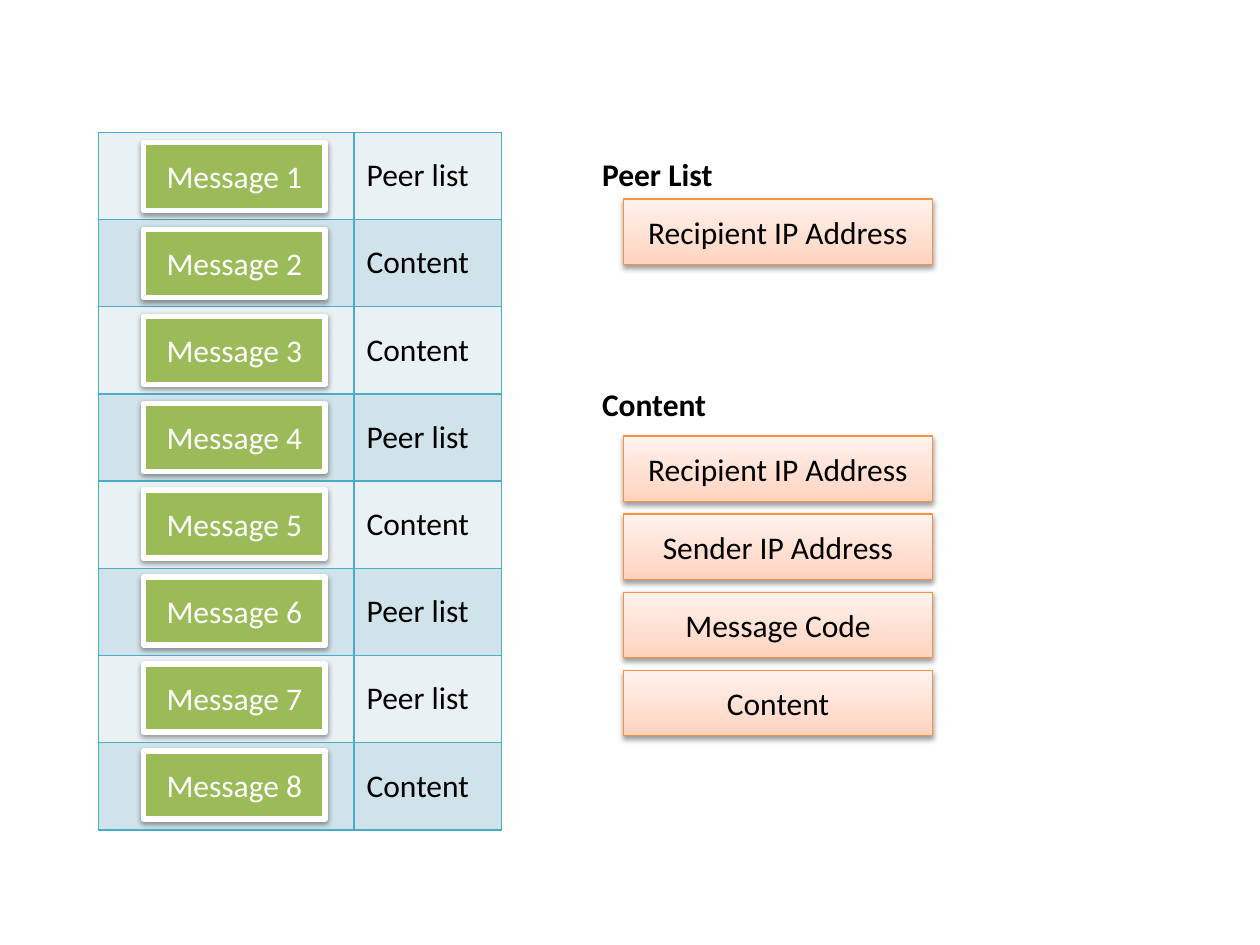
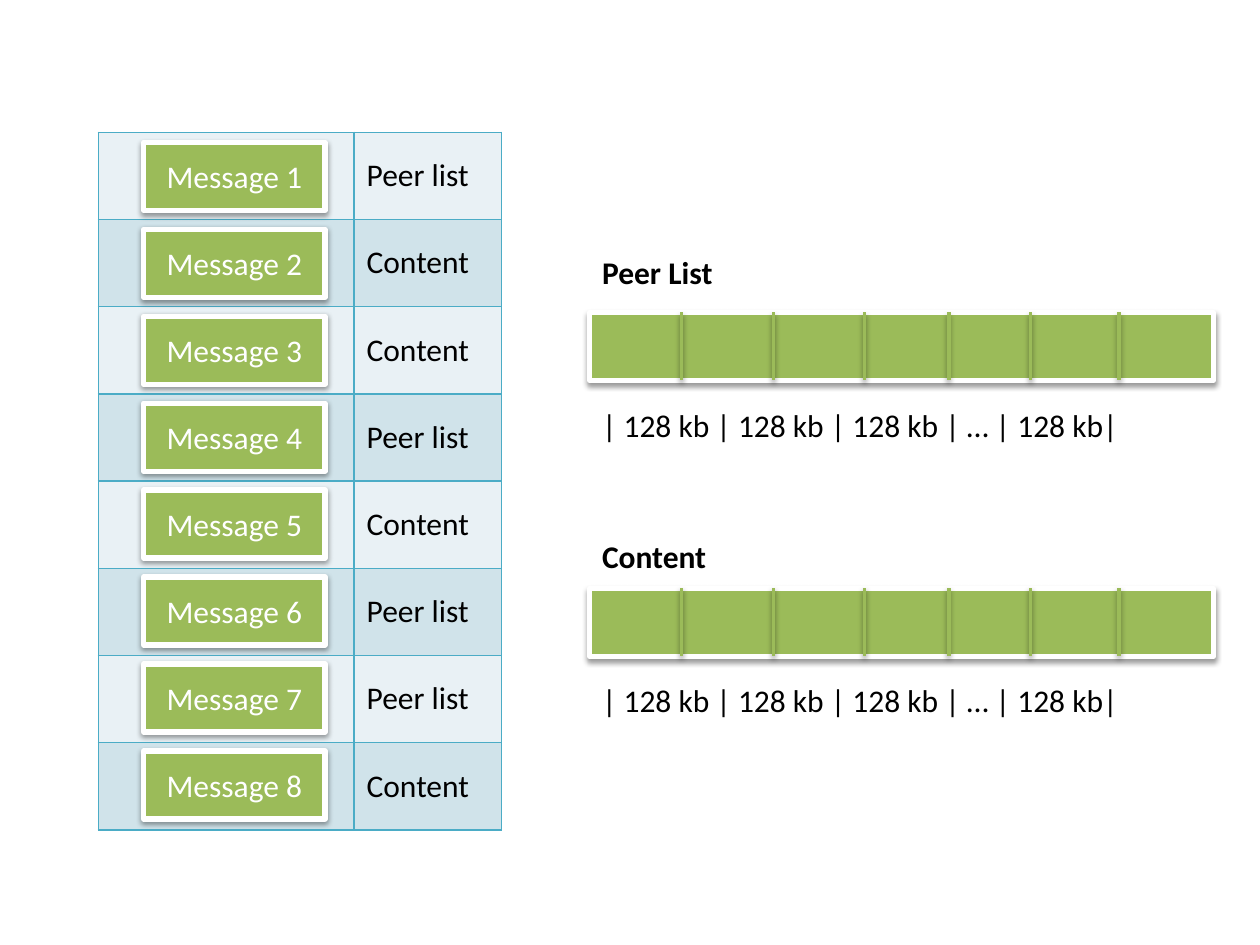
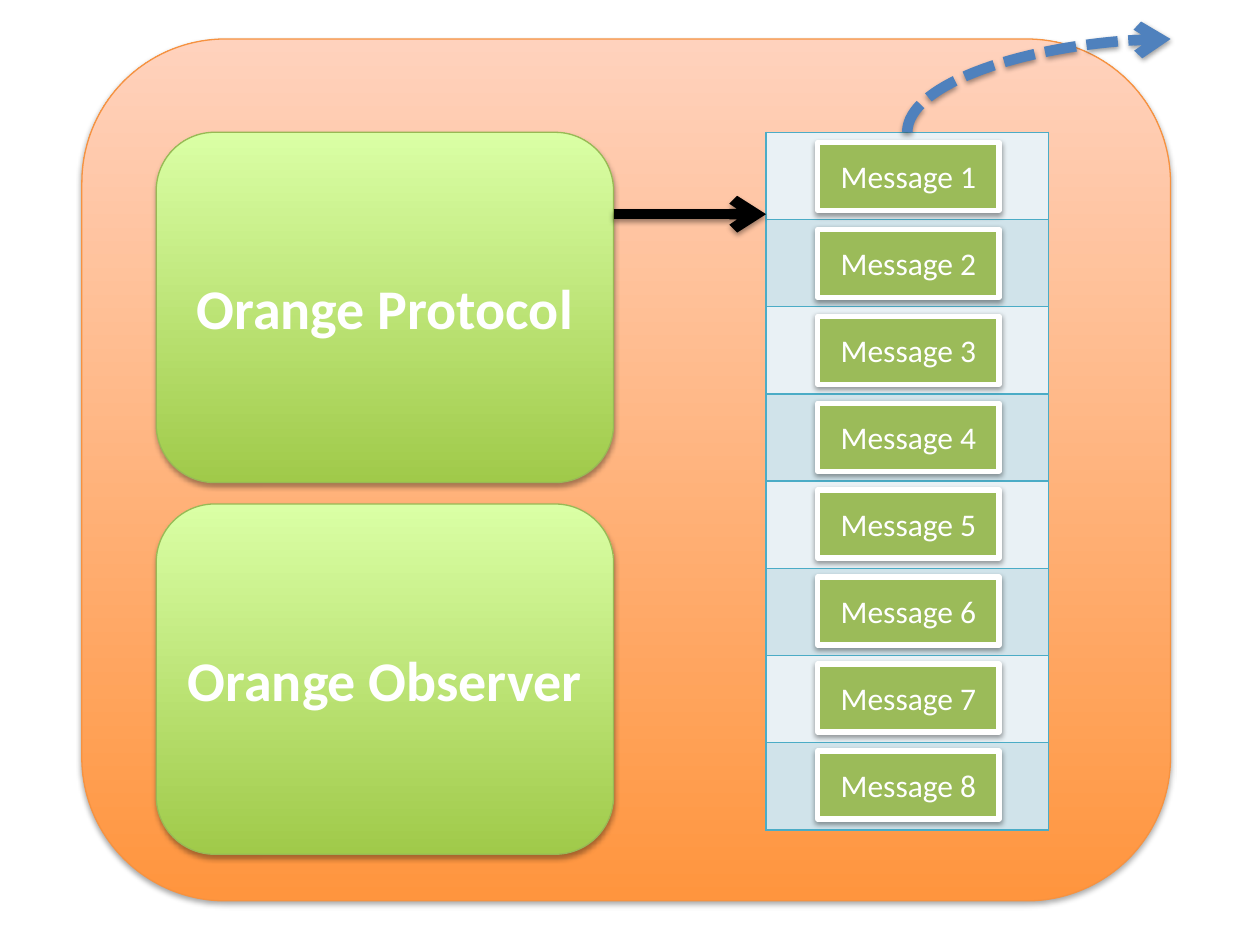
from copy import deepcopy

from lxml.etree import SubElement
from pptx import Presentation
from pptx.dml.color import RGBColor
from pptx.enum.dml import MSO_LINE
from pptx.enum.shapes import MSO_CONNECTOR as LINK, MSO_SHAPE as SHAPE
from pptx.enum.text import MSO_ANCHOR as ANCHOR, MSO_AUTO_SIZE as AUTO, PP_ALIGN as ALIGN
from pptx.oxml.ns import qn
from pptx.util import Inches, Pt

FONT = "Calibri"
BLACK, WHITE = "000000", "FFFFFF"
GREEN, BLUE, TEAL = "9BBB59", "4F81BD", "4BACC6"
ORANGE_EDGE, GREEN_EDGE = "F69240", "98B955"
BANDS = ("E9F1F5", "D0E3EA")
PEACH = ((0, "FFD2BD"), (0.35, "FFDED0"), (1, "FFF2ED"))
ORANGE = ((0, "FF953E"), (1, "FFD2BD"))
LIME = ((0, "A0CA4A"), (1, "DAFFA5"))
CLOSE_SHADOW, DEEP_SHADOW = (38, 1.6), (35, 1.8)

QUEUE_TOP, QUEUE_HEIGHT, ROW_STEP = 1.05, 5.54, 0.69
MESSAGE_KINDS = ["Peer list", "Content", "Content", "Peer list",
                 "Content", "Peer list", "Peer list", "Content"]
CHUNK_EDGES = (5.41, 6.14, 6.86, 7.53, 8.18, 8.88)
CHUNK_SIZES = "| 128 kb | 128 kb | 128 kb | … | 128 kb|"


def rgb(code):
    """Turn a hex string into a colour."""
    return RGBColor.from_string(code)


class Deck:
    """Hold the shared style and the slide being built."""

    def __init__(self):
        """Start an empty 4:3 presentation."""
        self.show = Presentation()
        self.show.slide_width, self.show.slide_height = Inches(10), Inches(7.5)

    def new_slide(self):
        """Begin the next blank slide."""
        self.slide = self.show.slides.add_slide(self.show.slide_layouts[6])

    def set_text(self, frame, text, size=18, color=BLACK, bold=False, align=ALIGN.LEFT):
        """Put one styled paragraph into a text frame."""
        frame.text = text
        paragraph = frame.paragraphs[0]
        paragraph.alignment = align
        for run in paragraph.runs:
            run.font.name, run.font.size, run.font.bold = FONT, Pt(size), bold
            run.font.color.rgb = rgb(color)

    def cast_shadow(self, part, strength, distance):
        """Give a shape or connector a shadow straight below it."""
        effects = SubElement(part.element.spPr, qn("a:effectLst"))
        shadow = SubElement(effects, qn("a:outerShdw"), blurRad=str(Pt(3.1)),
                            dist=str(Pt(distance)), dir="5400000", rotWithShape="0")
        tint = SubElement(shadow, qn("a:srgbClr"), val=BLACK)
        SubElement(tint, qn("a:alpha"), val=str(strength * 1000))

    def shade(self, box, stops):
        """Fill a box with a gradient that runs from bottom to top."""
        box.fill.gradient()
        box.fill.gradient_angle = 90
        stop_list = box.element.spPr.find(qn("a:gradFill")).find(qn("a:gsLst"))
        while len(stop_list) < len(stops):
            stop_list.append(deepcopy(stop_list[-1]))
        for stop, (position, color) in zip(box.fill.gradient_stops, stops):
            stop.position, stop.color.rgb = position, rgb(color)

    def box(self, place, fill, edge, edge_width=0.75, text="", kind=SHAPE.RECTANGLE,
            shadow=CLOSE_SHADOW, **style):
        """Draw a filled shape with centred text."""
        box = self.slide.shapes.add_shape(kind, *map(Inches, place))
        if isinstance(fill, str):
            box.fill.solid()
            box.fill.fore_color.rgb = rgb(fill)
        else:
            self.shade(box, fill)
        box.line.color.rgb, box.line.width = rgb(edge), Pt(edge_width)
        self.cast_shadow(box, *shadow)
        if text:
            box.text_frame.vertical_anchor = ANCHOR.MIDDLE
            self.set_text(box.text_frame, text, align=ALIGN.CENTER, **style)

    def green_box(self, left, top, width=1.44, text=""):
        """Draw a green block with a white frame."""
        self.box((left, top, width, 0.54), GREEN, WHITE, 3, text, color=WHITE)

    def field(self, top, text):
        """Draw one field of a message."""
        self.box((4.95, top, 2.45, 0.52), PEACH, ORANGE_EDGE, text=text)

    def panel(self, place, fill, edge, text=""):
        """Draw a large rounded panel."""
        self.box(place, fill, edge, text=text, kind=SHAPE.ROUNDED_RECTANGLE,
                 shadow=DEEP_SHADOW, size=32, color=WHITE, bold=True)

    def label(self, top, text, width, bold=False):
        """Place a free line of text in the right half."""
        label = self.slide.shapes.add_textbox(*map(Inches, (4.68, top, width, 0.4)))
        label.text_frame.word_wrap = False
        label.text_frame.auto_size = AUTO.SHAPE_TO_FIT_TEXT
        self.set_text(label.text_frame, text, bold=bold)

    def line(self, start, end, color, width, kind=LINK.STRAIGHT, arrow=False, dash=None):
        """Draw a line, with an arrowhead at its end if wanted."""
        line = self.slide.shapes.add_connector(kind, *map(Inches, start + end))
        line.line.color.rgb, line.line.width = rgb(color), Pt(width)
        if dash:
            line.line.dash_style = dash
        if arrow:
            SubElement(line.element.spPr.find(qn("a:ln")), qn("a:tailEnd"), type="arrow")
        self.cast_shadow(line, *CLOSE_SHADOW)
        return line

    def quarter_curve(self, start, end):
        """Draw a dashed arrow that leaves upwards and arrives sideways."""
        center = [(a + b) / 2 for a, b in zip(start, end)]
        rise, reach = (start[1] - end[1]) / 2, (end[0] - start[0]) / 2
        curve = self.line((center[0] + rise, center[1] + reach),
                          (center[0] - rise, center[1] - reach),
                          BLUE, 6, LINK.CURVE, True, MSO_LINE.SQUARE_DOT)
        properties = curve.element.spPr
        properties.find(qn("a:xfrm")).set("rot", "5400000")
        properties.find(qn("a:prstGeom")).set("prst", "curvedConnector2")

    def border(self, cell):
        """Rule all four sides of a table cell."""
        properties = cell._tc.get_or_add_tcPr()
        for position, side in enumerate(("lnL", "lnR", "lnT", "lnB")):
            edge = properties.makeelement(qn(f"a:{side}"), w=str(Pt(1)))
            SubElement(SubElement(edge, qn("a:solidFill")), qn("a:srgbClr"), val=TEAL)
            properties.insert(position, edge)

    def queue(self, left, widths, message_left):
        """Draw the banded message queue, with kinds if it has a second column."""
        rows = len(MESSAGE_KINDS)
        place = (left, QUEUE_TOP, sum(widths), QUEUE_HEIGHT)
        table = self.slide.shapes.add_table(rows, len(widths), *map(Inches, place)).table
        table.first_row = table.horz_banding = False
        for column, width in zip(table.columns, widths):
            column.width = Inches(width)
        for index, kind in enumerate(MESSAGE_KINDS):
            for cell in table.rows[index].cells:
                cell.fill.solid()
                cell.fill.fore_color.rgb = rgb(BANDS[index % 2])
                cell.vertical_anchor = ANCHOR.MIDDLE
                self.border(cell)
            if len(widths) > 1:
                self.set_text(table.cell(index, 1).text_frame, kind)
        for index in range(rows):
            self.green_box(message_left, 1.13 + index * ROW_STEP, text=f"Message {index + 1}")

    def typed_queue(self):
        """Draw the queue that also lists the kind of each message."""
        self.queue(0.78, (2.03, 1.17), 1.14)

    def headings(self, peer_top, content_top):
        """Place the headings of the two message kinds."""
        self.label(peer_top, "Peer List", 1.09, bold=True)
        self.label(content_top, "Content", 1.04, bold=True)

    def chunk_bar(self, top):
        """Draw a bar cut into chunks, with the sizes below."""
        self.green_box(4.68, top, 4.95)
        for edge in CHUNK_EDGES:
            self.line((edge, top), (edge, top + 0.54), GREEN, 2)
        self.label(top + 0.69, CHUNK_SIZES, 4.34)


def main():
    """Build the three slides."""
    deck = Deck()

    deck.new_slide()
    deck.typed_queue()
    deck.headings(1.18, 3.01)
    deck.field(1.58, "Recipient IP Address")
    content_fields = ("Recipient IP Address", "Sender IP Address", "Message Code", "Content")
    for index, name in enumerate(content_fields):
        deck.field(3.46 + index * 0.62, name)

    deck.new_slide()
    deck.typed_queue()
    for bar_top in (2.48, 4.67):
        deck.chunk_bar(bar_top)
    deck.headings(1.96, 4.21)

    deck.new_slide()
    deck.panel((0.65, 0.31, 8.64, 6.84), ORANGE, ORANGE_EDGE)
    for top, name in ((1.05, "Orange Protocol"), (4, "Orange Observer")):
        deck.panel((1.24, top, 3.63, 2.78), LIME, GREEN_EDGE, name)
    deck.queue(6.08, (2.24,), 6.49)
    deck.line((4.87, 1.7), (6.08, 1.7), BLACK, 6, arrow=True)
    deck.quarter_curve((7.2, QUEUE_TOP), (9.29, 0.31))

    deck.show.save("out.pptx")


if __name__ == "__main__":
    main()
